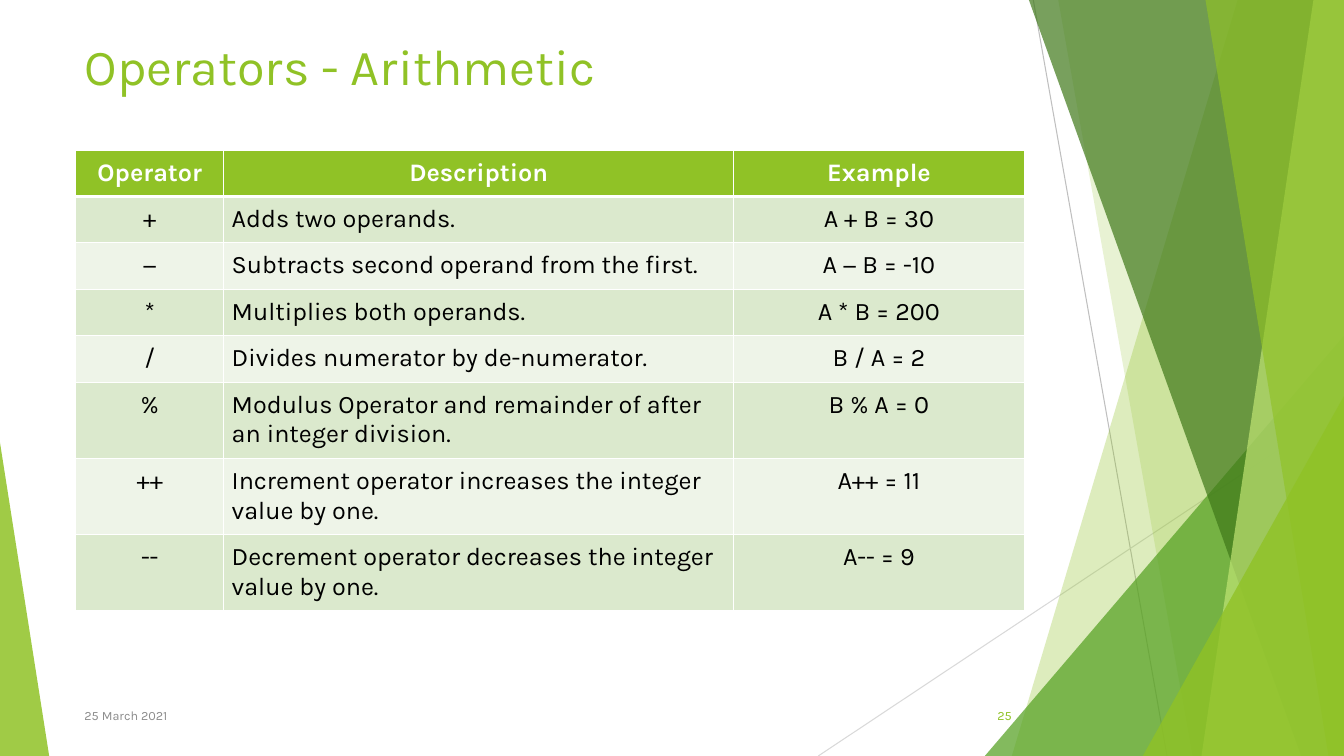
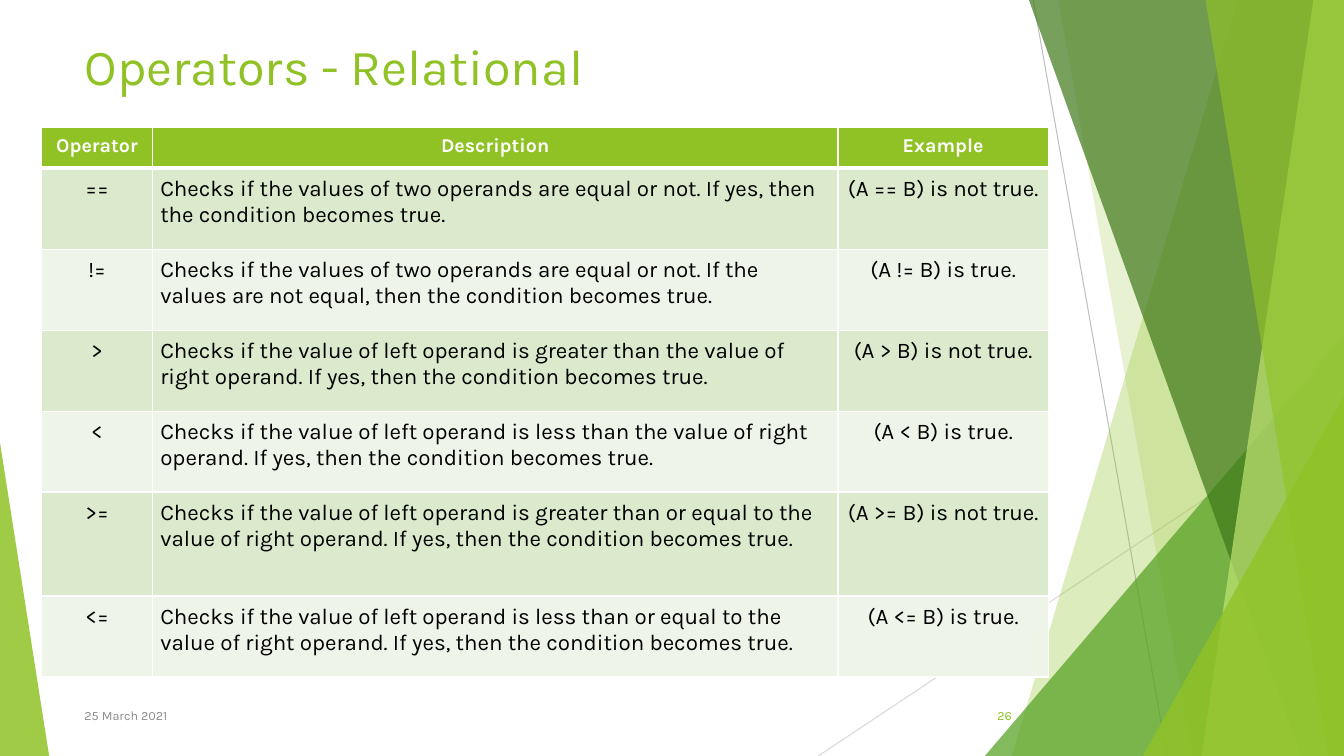
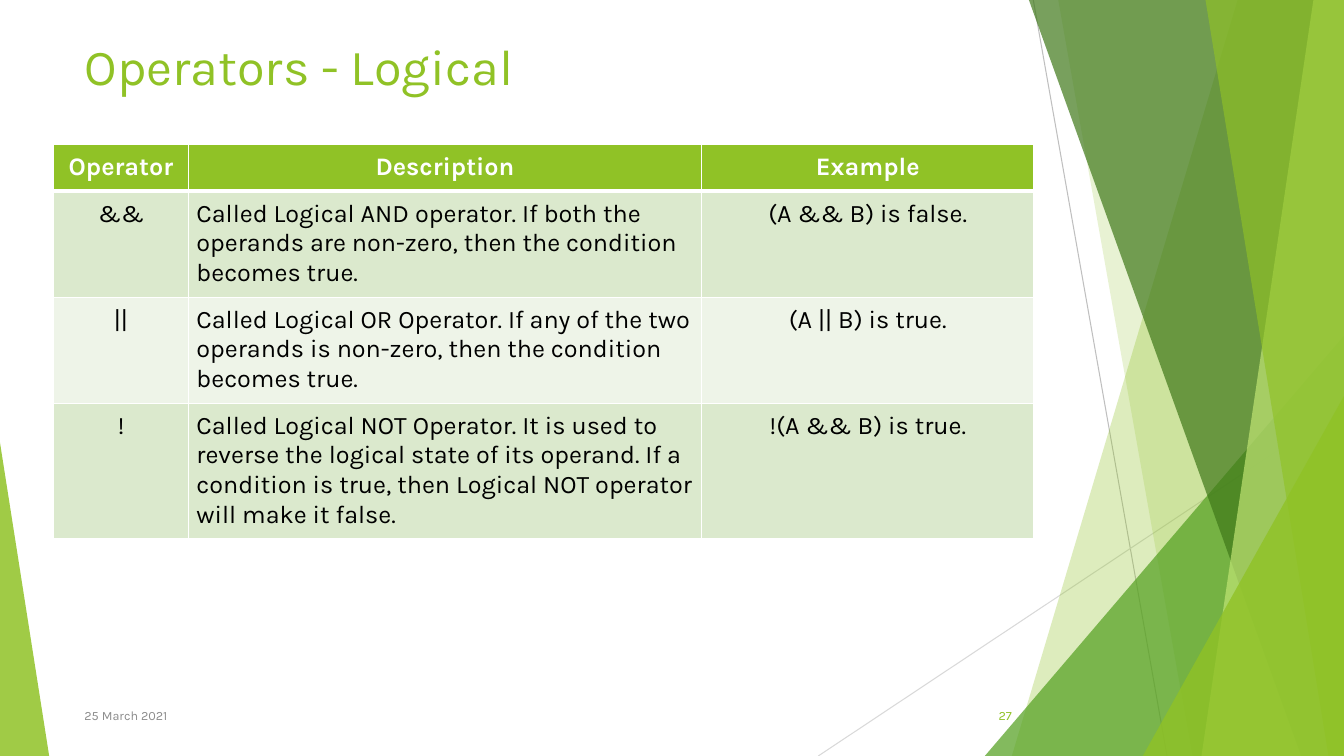
from dataclasses import dataclass

from pptx import Presentation
from pptx.dml.color import RGBColor
from pptx.enum.shapes import MSO_CONNECTOR, MSO_SHAPE
from pptx.enum.text import MSO_ANCHOR, MSO_AUTO_SIZE, PP_ALIGN
from pptx.oxml.ns import qn
from pptx.util import Cm, Pt
from lxml import etree

STRAIGHT = MSO_CONNECTOR.STRAIGHT
TRIANGLE = MSO_SHAPE.ISOSCELES_TRIANGLE
MIDDLE = MSO_ANCHOR.MIDDLE
NO_AUTOFIT = MSO_AUTO_SIZE.NONE
LEFT, CENTER, RIGHT = PP_ALIGN.LEFT, PP_ALIGN.CENTER, PP_ALIGN.RIGHT


@dataclass(frozen=True)
class Theme:
    font: str = "Karla"
    lime: str = "90C226"
    green: str = "54A021"
    forest: str = "3F7819"
    pale: str = "C0E474"
    band_dark: str = "DBE9CD"
    band_light: str = "EEF4E8"
    white: str = "FFFFFF"
    black: str = "000000"
    grey: str = "8C8C8C"
    hairline: str = "BFBFBF"
    hairline_light: str = "D9D9D9"
    title_size: int = 36
    footer_size: int = 9


THEME = Theme()
SLIDE_W, SLIDE_H = 33.87, 19.05
TITLE_BOX = (1.88, 0.71, 23.88, 1.85)
DATE_BOX = (1.88, 17.53, 17.5, 1.02)
NUMBER_BOX = (23.85, 17.53, 1.9, 1.02)
DATE = "25 March 2021"
FIRST_NUMBER = 25
CELL_MARGIN = Cm(0.2)
HEADINGS = ("Operator", "Description", "Example")
COLUMN_ALIGN = (CENTER, LEFT, CENTER)

# Each table: title, left and top, column widths, row heights, type sizes, rows
TABLES = [
    dict(
        title="Operators - Arithmetic", corner=(1.91, 3.78),
        widths=(3.73, 12.85, 7.32), heights=[1.17] * 5 + [1.92] * 3,
        head_size=18, body_size=18,
        rows=[
            ("+", "Adds two operands.", "A + B = 30"),
            ("−", "Subtracts second operand from the first.", "A − B = -10"),
            ("*", "Multiplies both operands.", "A * B = 200"),
            ("/", "Divides numerator by de-numerator.", "B / A = 2"),
            ("%", "Modulus Operator and remainder of after an integer division.", "B % A = 0"),
            ("++", "Increment operator increases the integer value by one.", "A++ = 11"),
            ("--", "Decrement operator decreases the integer value by one.", "A-- = 9"),
        ],
    ),
    dict(
        title="Operators - Relational", corner=(1.05, 3.2),
        widths=(2.79, 17.28, 5.3), heights=[1.04] + [2.04] * 4 + [2.62, 2.04],
        head_size=14, body_size=16,
        rows=[
            ("==", "Checks if the values of two operands are equal or not. If yes, "
                   "then the condition becomes true.", "(A == B) is not true."),
            ("!=", "Checks if the values of two operands are equal or not. If the values "
                   "are not equal, then the condition becomes true.", "(A != B) is true."),
            (">", "Checks if the value of left operand is greater than the value of right "
                  "operand. If yes, then the condition becomes true.", "(A > B) is not true."),
            ("<", "Checks if the value of left operand is less than the value of right "
                  "operand. If yes, then the condition becomes true.", "(A < B) is true."),
            (">=", "Checks if the value of left operand is greater than or equal to the value "
                   "of right operand. If yes, then the condition becomes true.",
             "(A >= B) is not true."),
            ("<=", "Checks if the value of left operand is less than or equal to the value "
                   "of right operand. If yes, then the condition becomes true.",
             "(A <= B) is true."),
        ],
    ),
    dict(
        title="Operators - Logical", corner=(1.35, 3.65),
        widths=(3.4, 12.93, 8.38), heights=[1.17, 2.67, 2.67, 3.42],
        head_size=18, body_size=18,
        rows=[
            ("&&", "Called Logical AND operator. If both the operands are non-zero, "
                   "then the condition becomes true.", "(A && B) is false."),
            ("||", "Called Logical OR Operator. If any of the two operands is non-zero, "
                   "then the condition becomes true.", "(A || B) is true."),
            ("!", "Called Logical NOT Operator. It is used to reverse the logical state of "
                  "its operand. If a condition is true, then Logical NOT operator will make "
                  "it false.", "!(A && B) is true."),
        ],
    ),
]


def rgb(color):
    return RGBColor.from_string(color)


def write(frame, text, size, color, align=LEFT, bold=False):
    """Put one formatted run into the first paragraph of a text frame."""
    paragraph = frame.paragraphs[0]
    paragraph.alignment = align
    run = paragraph.add_run()
    run.text = text
    run.font.name = THEME.font
    run.font.size = Pt(size)
    run.font.bold = bold
    run.font.color.rgb = rgb(color)


# Backdrop

def paint(shape, color, opacity):
    shape.shadow.inherit = False
    shape.line.fill.background()
    shape.fill.solid()
    shape.fill.fore_color.rgb = rgb(color)
    solid = shape.fill._xPr.find(qn("a:solidFill"))
    etree.SubElement(solid[0], qn("a:alpha")).set("val", str(opacity * 1000))


def add_hairline(shapes, start, end, color):
    hairline = shapes.add_connector(STRAIGHT, *(Cm(v) for v in start + end))
    hairline.line.color.rgb = rgb(color)
    hairline.line.width = Pt(0.75)
    etree.SubElement(hairline._element.spPr, qn("a:effectLst"))


def add_blade(shapes, top_x, bottom_x, color, opacity):
    """Full-height band from a slanted left side to the right slide edge."""
    outline = shapes.build_freeform(Cm(top_x), 0)
    outline.add_line_segments([(Cm(SLIDE_W), 0), (Cm(SLIDE_W), Cm(SLIDE_H)),
                               (Cm(bottom_x), Cm(SLIDE_H))], close=True)
    paint(outline.convert_to_shape(), color, opacity)


def add_corner(shapes, left, top, width, apex, color, opacity):
    """Triangle that stands on the bottom slide edge."""
    corner = shapes.add_shape(TRIANGLE, Cm(left), Cm(top), Cm(width), Cm(SLIDE_H - top))
    corner.adjustments[0] = apex
    paint(corner, color, opacity)


def add_backdrop(slide, layout):
    """Draw the facets and move them to the layout, behind its placeholders."""
    shapes = slide.shapes
    placeholder_count = len(shapes)
    add_hairline(shapes, (26.04, 0), (29.41, SLIDE_H), THEME.hairline)
    add_hairline(shapes, (SLIDE_W, 10.24), (20.62, SLIDE_H), THEME.hairline_light)
    add_blade(shapes, 31.19, 25.5, THEME.lime, 30)
    add_blade(shapes, 26.67, 30.05, THEME.lime, 20)
    add_corner(shapes, 24.82, 8.46, SLIDE_W - 24.82, 1, THEME.green, 72)
    add_blade(shapes, 25.93, 32.79, THEME.forest, 70)
    add_blade(shapes, 33.1, 30.28, THEME.pale, 70)
    add_blade(shapes, 30.38, 33.48, THEME.lime, 65)
    add_corner(shapes, 28.8, 9.98, SLIDE_W - 28.8, 1, THEME.lime, 80)
    add_corner(shapes, 0, 11.15, 1.24, 0, THEME.lime, 85)
    for position, facet in enumerate(list(shapes)[placeholder_count:]):
        facet._element.xpath(".//p:cNvPr")[0].set("id", str(100 + position))
        layout.shapes.element.insert(2 + position, facet._element)


# Title and footer

def add_title(slide, text, box):
    title = slide.shapes.title
    title.left, title.top, title.width, title.height = (Cm(v) for v in box)
    frame = title.text_frame
    frame.auto_size = NO_AUTOFIT
    frame.vertical_anchor = MIDDLE
    write(frame, text, THEME.title_size, THEME.lime)


def add_footer_text(slide, text, box, color, align):
    frame = slide.shapes.add_textbox(*(Cm(v) for v in box)).text_frame
    frame.word_wrap = True
    frame.vertical_anchor = MIDDLE
    write(frame, text, THEME.footer_size, color, align)


# Table

def set_borders(cell, top, bottom):
    """White cell borders; top and bottom widths in points."""
    properties = cell._tc.get_or_add_tcPr()
    sides = (("L", 1), ("R", 1), ("T", top), ("B", bottom))
    for position, (side, width) in enumerate(sides):
        border = etree.Element(qn(f"a:ln{side}"), w=str(Pt(width)))
        fill = etree.SubElement(border, qn("a:solidFill"))
        etree.SubElement(fill, qn("a:srgbClr")).set("val", THEME.white)
        properties.insert(position, border)


def fill_cell(cell, text, row, align, size):
    is_head = row == 0
    band = THEME.band_dark if row % 2 else THEME.band_light
    cell.margin_left = cell.margin_right = CELL_MARGIN
    cell.margin_top = cell.margin_bottom = CELL_MARGIN
    cell.fill.solid()
    cell.fill.fore_color.rgb = rgb(THEME.lime if is_head else band)
    set_borders(cell, top=3 if row == 1 else 1, bottom=3 if is_head else 1)
    write(cell.text_frame, text, size, THEME.white if is_head else THEME.black,
          CENTER if is_head else align, is_head)


def add_operator_table(slide, corner, widths, heights, head_size, body_size, rows):
    box = (*corner, sum(widths), sum(heights))
    table = slide.shapes.add_table(len(heights), len(widths), *(Cm(v) for v in box)).table
    for column, width in zip(table.columns, widths):
        column.width = Cm(width)
    for table_row, height in zip(table.rows, heights):
        table_row.height = Cm(height)
    for r, texts in enumerate([HEADINGS, *rows]):
        for c, text in enumerate(texts):
            fill_cell(table.cell(r, c), text, r, COLUMN_ALIGN[c],
                      body_size if r else head_size)


def add_operator_slide(slide, number, title, **table):
    add_title(slide, title, TITLE_BOX)
    add_operator_table(slide, **table)
    add_footer_text(slide, str(number), NUMBER_BOX, THEME.lime, RIGHT)
    add_footer_text(slide, DATE, DATE_BOX, THEME.grey, LEFT)


def main():
    deck = Presentation()
    deck.slide_width, deck.slide_height = Cm(SLIDE_W), Cm(SLIDE_H)
    layout = deck.slide_layouts.get_by_name("Title Only")
    slides = [deck.slides.add_slide(layout) for _ in TABLES]
    add_backdrop(slides[0], layout)
    for number, (slide, content) in enumerate(zip(slides, TABLES), FIRST_NUMBER):
        add_operator_slide(slide, number, **content)
    deck.save("out.pptx")


if __name__ == "__main__":
    main()
